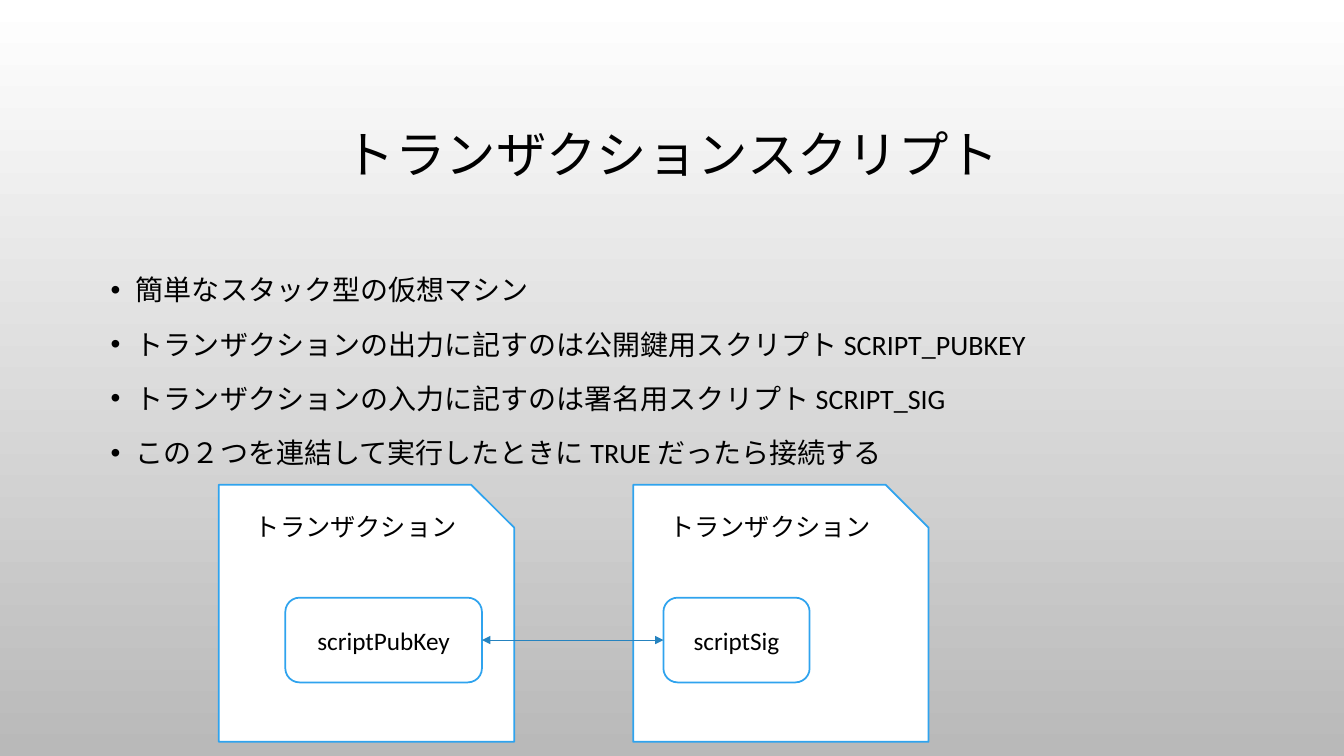
from dataclasses import dataclass

from lxml.etree import SubElement
from pptx import Presentation
from pptx.dml.color import RGBColor
from pptx.enum.shapes import MSO_CONNECTOR, MSO_SHAPE
from pptx.enum.text import MSO_ANCHOR, PP_ALIGN
from pptx.oxml.ns import qn
from pptx.util import Inches, Pt

COLORS = {
    "text": "000000",
    "paper": "FFFFFF",
    "shade": "B9B9B9",
    "outline": "2FA3EE",
    "arrow": "2683BF",
}
BULLETS = [
    "簡単なスタック型の仮想マシン",
    "トランザクションの出力に記すのは公開鍵用スクリプト SCRIPT_PUBKEY",
    "トランザクションの入力に記すのは署名用スクリプト SCRIPT_SIG",
    "この２つを連結して実行したときに TRUE だったら接続する",
]
TITLE_FORMAT = {"alignment": PP_ALIGN.CENTER, "line_spacing": 0.9}
BULLET_FORMAT = {"line_spacing": 1.2}
LABEL_FORMAT = {"alignment": PP_ALIGN.CENTER}


@dataclass
class Box:
    text: str
    kind: MSO_SHAPE
    anchor: MSO_ANCHOR
    left: float
    top: float
    width: float
    height: float


def transaction(left: float) -> Box:
    return Box("トランザクション", MSO_SHAPE.SNIP_1_RECTANGLE, MSO_ANCHOR.TOP,
               left, 4.81, 2.93, 2.55)


def script_box(text: str, left: float, width: float) -> Box:
    return Box(text, MSO_SHAPE.ROUNDED_RECTANGLE, MSO_ANCHOR.MIDDLE,
               left, 5.93, width, 0.84)


PUBLIC_KEY = script_box("scriptPubKey", 2.83, 1.95)
SIGNATURE = script_box("scriptSig", 6.58, 1.45)
BOXES = [transaction(2.17), transaction(6.28), PUBLIC_KEY, SIGNATURE]


def color(name: str) -> RGBColor:
    return RGBColor.from_string(COLORS[name])


def write(paragraph, text: str, size: int, formats: dict) -> None:
    paragraph.text = text
    for name, value in formats.items():
        setattr(paragraph, name, value)
    for name, value in {"name": "Calibri", "size": Pt(size)}.items():
        setattr(paragraph.font, name, value)
    paragraph.font.color.rgb = color("text")


def add_bullet(paragraph) -> None:
    properties = paragraph._p.get_or_add_pPr()
    properties.set("marL", str(Inches(0.25)))
    properties.set("indent", str(Inches(-0.25)))
    bullet_color = SubElement(properties, qn("a:buClr"))
    SubElement(bullet_color, qn("a:srgbClr"), val=COLORS["text"])
    SubElement(properties, qn("a:buFont"), typeface="Arial")
    SubElement(properties, qn("a:buChar"), char="•")


def add_text_frame(slide, top: float, height: float, anchor: MSO_ANCHOR):
    shape = slide.shapes.add_textbox(Inches(1), Inches(top), Inches(11.33), Inches(height))
    shape.text_frame.word_wrap = True
    shape.text_frame.vertical_anchor = anchor
    return shape.text_frame


def draw_box(slide, box: Box) -> None:
    shape = slide.shapes.add_shape(box.kind, Inches(box.left), Inches(box.top),
                                   Inches(box.width), Inches(box.height))
    shape.shadow.inherit = False
    shape.fill.solid()
    shape.fill.fore_color.rgb = color("paper")
    shape.line.color.rgb = color("outline")
    shape.line.width = Pt(1.25)
    shape.text_frame.vertical_anchor = box.anchor
    write(shape.text_frame.paragraphs[0], box.text, 18, LABEL_FORMAT)


def draw_double_arrow(slide, start: Box, end: Box) -> None:
    middle = Inches(start.top + start.height / 2)
    connector = slide.shapes.add_connector(
        MSO_CONNECTOR.STRAIGHT, Inches(start.left + start.width), middle,
        Inches(end.left), middle)
    connector.line.color.rgb = color("arrow")
    connector.line.width = Pt(0.75)
    for end_tag in ("a:headEnd", "a:tailEnd"):
        SubElement(connector.line._get_or_add_ln(), qn(end_tag), type="triangle")
    SubElement(connector._element.spPr, qn("a:effectLst"))


def main() -> None:
    presentation = Presentation()
    presentation.slide_width = Inches(13.33)
    presentation.slide_height = Inches(7.5)
    slide = presentation.slides.add_slide(presentation.slide_layouts[6])

    # Background, white at the top to grey at the bottom
    background = slide.background.fill
    background.gradient()
    background.gradient_angle = 270
    for stop, name in zip(background.gradient_stops, ("paper", "shade")):
        stop.color.rgb = color(name)

    # Title
    title = add_text_frame(slide, 0.68, 1.75, MSO_ANCHOR.MIDDLE)
    write(title.paragraphs[0], "トランザクションスクリプト", 36, TITLE_FORMAT)

    # Bullet list
    body = add_text_frame(slide, 2.59, 3.74, MSO_ANCHOR.TOP)
    for index, text in enumerate(BULLETS):
        paragraph = body.add_paragraph() if index else body.paragraphs[0]
        add_bullet(paragraph)
        space = Pt(10 if index else 0)
        write(paragraph, text, 20, {**BULLET_FORMAT, "space_before": space})

    # Transactions and their linked scripts
    for box in BOXES:
        draw_box(slide, box)
    draw_double_arrow(slide, PUBLIC_KEY, SIGNATURE)

    presentation.save("out.pptx")


if __name__ == "__main__":
    main()
